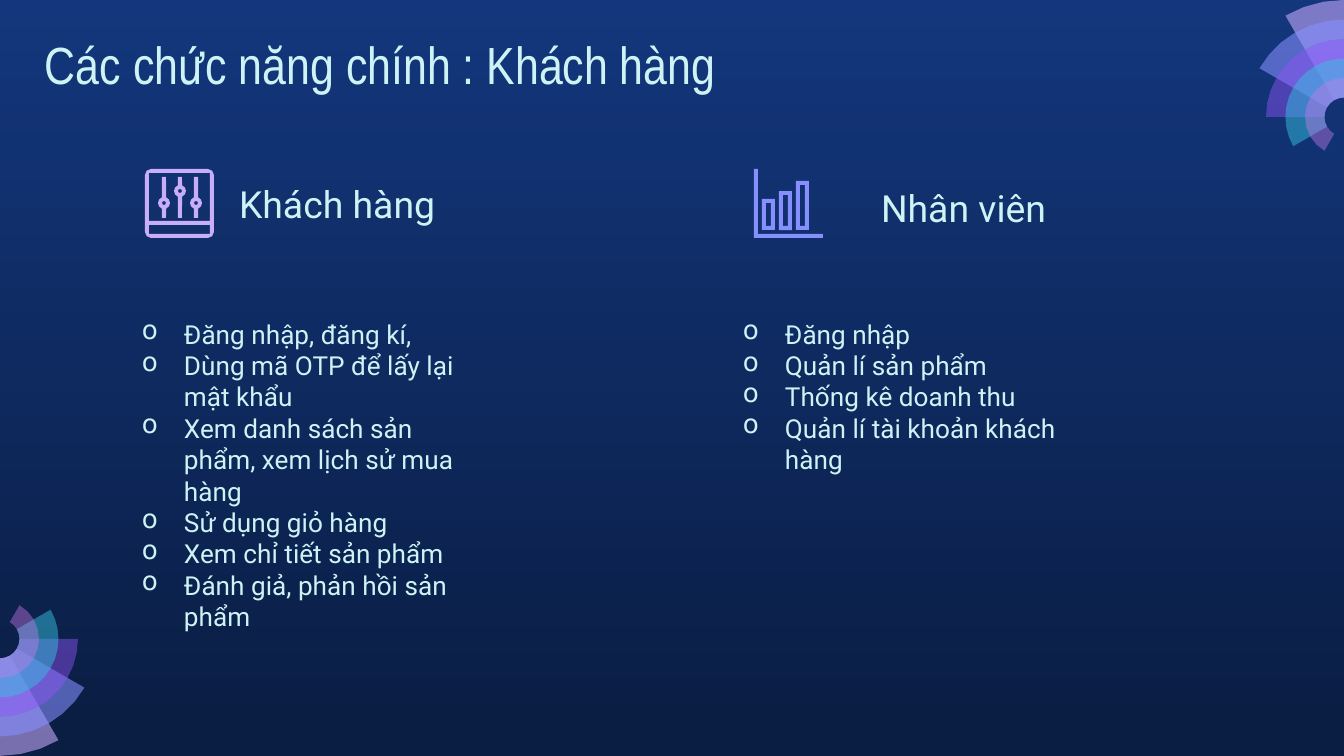
import math

import pptx
import pptx.dml.color
import pptx.enum.text
import pptx.oxml
import pptx.oxml.ns
import pptx.util

PX = 914400 / 134.4
INK = "CEF3F5"
INSET = 13
STROKE = 4
RING = 19.5


def px(length):
    return pptx.util.Emu(round(length * PX))


def rgb(code):
    return pptx.dml.color.RGBColor.from_string(code)


def arc(x, y, radius, start, end):
    """Points of an arc, in degrees clockwise from three o'clock."""
    step = 10 if radius > 50 else 15 if radius > 10 else 45
    steps = math.ceil(abs(end - start) / step)
    angles = [math.radians(start + (end - start) * i / steps) for i in range(steps + 1)]
    return [(x + radius * math.cos(a), y + radius * math.sin(a)) for a in angles]


def rectangle(x, y, width, height):
    return [(x, y), (x + width, y), (x + width, y + height), (x, y + height)]


def rounded(x, y, width, height, radius):
    corners = rectangle(x + radius, y + radius, width - 2 * radius, height - 2 * radius)
    return [point for i, corner in enumerate(corners)
            for point in arc(*corner, radius, 180 + 90 * i, 270 + 90 * i)]


def add_outline(group, origin, contours, color, opacity=100):
    """Fill closed contours placed relative to origin; inner contours are holes."""
    placed = [[(px(origin[0] + x), px(origin[1] + y)) for x, y in contour]
              for contour in contours]
    builder = group.shapes.build_freeform(*placed[0][0])
    builder.add_line_segments(placed[0][1:])
    for contour in placed[1:]:
        builder.move_to(*contour[0])
        builder.add_line_segments(contour[1:])
    shape = builder.convert_to_shape()
    shape.shadow.inherit = False
    shape.line.fill.background()
    shape.fill.solid()
    shape.fill.fore_color.rgb = rgb(color)
    if opacity < 100:
        fill = shape.element.spPr.find(pptx.oxml.ns.qn("a:solidFill"))
        alpha = pptx.oxml.parse_xml(
            f'<a:alpha {pptx.oxml.ns.nsdecls("a")} val="{opacity * 1000}"/>')
        fill[0].append(alpha)


def add_fan(page, center, turn):
    """Five overlapping ring sectors, each one ring smaller and 30 degrees wider."""
    group = page.shapes.add_group_shape()
    sectors = [("C8ACFD", 58), ("878FFF", 58), ("9154F8", 46), ("35C2DF", 49), ("CA7BEB", 42)]
    for i, (color, opacity) in enumerate(sectors):
        start, end = turn + 60 - 30 * i, turn + 90
        sector = arc(0, 0, RING * (6 - i), start, end) + arc(0, 0, RING, end, start)
        add_outline(group, center, [sector], color, opacity)


def add_sliders_icon(page, origin):
    group = page.shapes.add_group_shape()
    color = "C8AEF8"
    panel = [rounded(0, 0, 69, 69, 6), rectangle(4, 4, 61, 48), rectangle(4, 56, 61, 9)]
    add_outline(group, origin, panel, color)
    for x, knob in [(19, 34), (35, 22), (51, 34)]:
        slider = ([(x - 2, 8), (x + 2, 8)] + arc(x, knob, 6, -70, 70)
                  + [(x + 2, 49), (x - 2, 49)] + arc(x, knob, 6, 110, 250))
        add_outline(group, origin, [slider, arc(x, knob, 2, 0, 360)], color)


def add_bars_icon(page, origin):
    group = page.shapes.add_group_shape()
    color = "878FFF"
    for i, top in enumerate([30, 22, 12]):
        x, height = 8 + 17 * i, 61 - top
        hole = rectangle(x + STROKE, top + STROKE, 13 - 2 * STROKE, height - 2 * STROKE)
        add_outline(group, origin, [rectangle(x, top, 13, height), hole], color)
    axes = [(0, 0), (4, 0), (4, 65), (69, 65), (69, 69), (0, 69)]
    add_outline(group, origin, [axes], color)


def add_bullet(para):
    properties = para._p.get_or_add_pPr()
    properties.set("marL", str(px(42)))
    properties.set("indent", str(px(-42)))
    names = pptx.oxml.ns.nsdecls("a")
    for xml in (f'<a:buClr {names}><a:srgbClr val="{INK}"/></a:buClr>',
                f'<a:buChar {names} char="o"/>'):
        properties.append(pptx.oxml.parse_xml(xml))


def add_text(page, frame, lines, size, font="Roboto", middle=False, bullets=False):
    box = page.shapes.add_textbox(*map(px, frame))
    text = box.text_frame
    text.word_wrap = True
    text.margin_left = text.margin_right = px(INSET)
    text.margin_top = text.margin_bottom = px(INSET)
    anchors = pptx.enum.text.MSO_ANCHOR
    text.vertical_anchor = anchors.MIDDLE if middle else anchors.TOP
    for i, line in enumerate(lines):
        para = text.paragraphs[0] if i == 0 else text.add_paragraph()
        para.text = line
        if bullets:
            add_bullet(para)
        para.font.size = pptx.util.Pt(size)
        para.font.name = font
        para.font.color.rgb = rgb(INK)


def add_role(page, origin, add_icon, heading, offset, tasks):
    """A column with an icon, a heading at an offset, and a bulleted list."""
    left, top = origin
    add_icon(page, (left + offset[0], top))
    add_text(page, (left + offset[1], top + offset[2], 386, 90), [heading], 20, middle=True)
    add_text(page, (left, top + 136, 340, 117), tasks, 14, bullets=True)


def main():
    deck = pptx.Presentation()
    deck.slide_width, deck.slide_height = px(1344), px(756)
    page = deck.slides.add_slide(deck.slide_layouts[6])
    fill = page.background.fill
    fill.gradient()
    fill.gradient_angle = 270
    for stop, color in zip(fill.gradient_stops, ["13367C", "0A1D42"]):
        stop.color.rgb = rgb(color)

    add_fan(page, (0, 639), 0)
    add_fan(page, (1344, 117), 180)
    add_text(page, (32, 19, 1133, 85), ["Các chức năng chính : Khách hàng"], 28, "Arial Narrow")
    add_role(page, (129, 169), add_sliders_icon, "Khách hàng", (16, 97, -10), [
        "Đăng nhập, đăng kí,",
        "Dùng mã OTP để lấy lại mật khẩu",
        "Xem danh sách sản phẩm, xem lịch sử mua hàng",
        "Sử dụng giỏ hàng",
        "Xem chỉ tiết sản phẩm",
        "Đánh giả, phản hồi sản phẩm",
    ])
    add_role(page, (730, 169), add_bars_icon, "Nhân viên", (24, 138, -6), [
        "Đăng nhập",
        "Quản lí sản phẩm",
        "Thống kê doanh thu",
        "Quản lí tài khoản khách hàng",
    ])
    deck.save("out.pptx")


if __name__ == "__main__":
    main()
